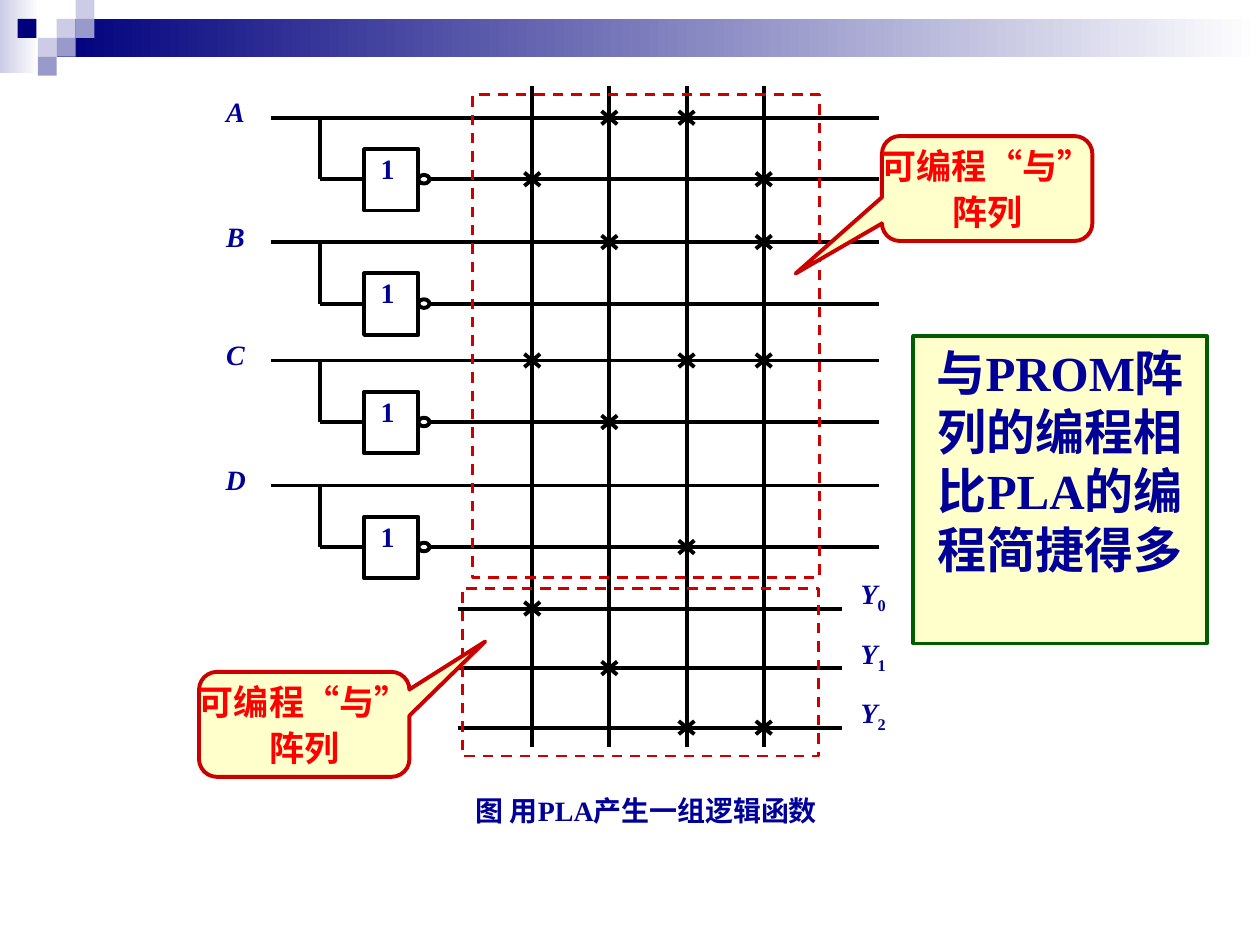
from collections import namedtuple
from lxml import etree
from pptx import Presentation
from pptx.dml.color import RGBColor
from pptx.enum.dml import MSO_LINE as Dash
from pptx.enum.lang import MSO_LANGUAGE_ID as Lang
from pptx.enum.shapes import MSO_CONNECTOR as Link, MSO_SHAPE as Kind
from pptx.enum.text import MSO_ANCHOR as Anchor, MSO_AUTO_SIZE as Fit, PP_ALIGN as Align
from pptx.oxml.ns import qn
from pptx.util import Inches, Pt

NAVY, BLUE, LILAC, PALE = "00007D", "000099", "9999CC", "CCCCE6"
RED, GREEN, CREAM = "CC0000", "005C00", "FFFFCC"


class Box(namedtuple("Box", "left top width height")):
    def across(self, share):
        return self.left + self.width * share / 100

    def down(self, share):
        return self.top + self.height * share / 100

    def inner(self, left, top, width, height):
        return Box(self.across(left), self.down(top),
                   self.width * width / 100, self.height * height / 100)

    def emu(self):
        return [Inches(side) for side in self]


def color(code):
    return RGBColor.from_string(code)


def style(run, size, code, slant=False):
    font = run.font
    font.name, font.size = "Times New Roman", Pt(size)
    font.bold, font.italic = True, slant
    font.color.rgb = color(code)
    font.language_id = Lang.SIMPLIFIED_CHINESE


def write(frame, text, size, code, slant=False, gap=0):
    frame.text = text
    for count, para in enumerate(frame.paragraphs):
        para.alignment = Align.CENTER
        para.space_before = Pt(gap if count else 0)
        for run in para.runs:
            style(run, size, code, slant)


def label(shapes, box, text, slant=False):
    frame = shapes.add_textbox(*box.emu()).text_frame
    frame.margin_left = frame.margin_right = frame.margin_top = frame.margin_bottom = 0
    frame.word_wrap = False
    frame.auto_size = Fit.SHAPE_TO_FIT_TEXT
    write(frame, text, 16, BLUE, slant)
    return frame.paragraphs[0]


def shape(shapes, kind, box, fill=None, edge=None, width=2.25):
    item = shapes.add_shape(kind, *box.emu())
    item.shadow.inherit = False
    if fill:
        item.fill.solid()
        item.fill.fore_color.rgb = color(fill)
    else:
        item.fill.background()
    if edge:
        item.line.color.rgb = color(edge)
        item.line.width = Pt(width)
    else:
        item.line.fill.background()
    return item


def wire(shapes, box, left, top, right, low):
    ends = box.across(left), box.down(top), box.across(right), box.down(low)
    item = shapes.add_connector(Link.STRAIGHT, *[Inches(end) for end in ends])
    item.line.color.rgb = color("000000")
    item.line.width = Pt(2.25)
    etree.SubElement(item._element.spPr, qn("a:effectLst"))


def fade(shapes, box, code):
    fill = shape(shapes, Kind.RECTANGLE, box, code).fill
    fill.gradient()
    fill.gradient_angle = 0
    for stop, tone, place in zip(fill.gradient_stops, (code, "FFFFFF"), (0, 1)):
        stop.color.rgb = color(tone)
        stop.position = place


def banner(shapes, box):
    fade(shapes, box.inner(0, 0, 3.1, 100), PALE)
    fade(shapes, box.inner(4.5, 25.9, 95.5, 51.7), NAVY)
    tiles = [(3, 1, PALE), (4, 0, PALE), (4, 1, LILAC), (2, 2, PALE),
             (0.93, 1, NAVY), (3, 2, LILAC), (2, 3, LILAC)]
    for col, row, code in tiles:
        tile = box.inner(col * 1.5, row * 25.9, 1.5, 25.9)
        shape(shapes, Kind.RECTANGLE, tile, code)


def gate(shapes, box, name):
    label(shapes, box.inner(23.7, 55, 2.2, 55), "1")
    label(shapes, box.inner(0, -37, 3, 55), name, True)
    wire(shapes, box, 6.9, 0, 100, 0)
    wire(shapes, box, 14.5, 0, 14.5, 100)
    wire(shapes, box, 14.5, 100, 21.2, 100)
    wire(shapes, box, 31.2, 100, 100, 100)
    shape(shapes, Kind.RECTANGLE, box.inner(21.2, 51, 8.3, 100), edge="000000")
    shape(shapes, Kind.OVAL, box.inner(29.5, 93, 1.7, 14), edge="000000")


def output(shapes, box, row, index):
    para = label(shapes, box.inner(97.1, row - 4.8, 3.9, 5.7), "Y", True)
    run = para.add_run()
    run.text = index
    style(run, 16, BLUE)
    run.font._element.set("baseline", "-25000")
    wire(shapes, box, 35.5, row, 94.2, row)


def array(shapes, box):
    step = 9.3
    rows = []
    for name, top in zip("ABCD", (4.8, 23.6, 41.5, 60.4)):
        gate(shapes, box.inner(0, top, 100, step), name)
        rows += [top, top + step]
    for count in range(3):
        rows.append(79 + 9 * count)
        output(shapes, box, rows[-1], str(count))
    cols = [46.9 + 11.8 * count for count in range(4)]
    for col in cols:
        wire(shapes, box, col, 0, col, 100)
    marks = (".xx. x..x .x.x .... x.xx .x.. "
             ".... ..x. x... .x.. ..xx").split()
    for row, line in zip(rows, marks):
        for col, mark in zip(cols, line):
            if mark == "x":
                for rise in (-1, 1):
                    wire(shapes, box, col - 1.2, row - rise, col + 1.2, row + rise)
    for area in (box.inner(36.2, 76, 54.5, 25.3), box.inner(37.8, 1.3, 53, 73)):
        frame = shape(shapes, Kind.RECTANGLE, area, edge=RED, width=1.5)
        frame.line.dash_style = Dash.DASH


def callout(shapes, box, tip):
    item = shape(shapes, Kind.ROUNDED_RECTANGULAR_CALLOUT, box, CREAM, RED)
    for index, value in enumerate((*tip, 0.17)):
        item.adjustments[index] = value
    frame = item.text_frame
    frame.word_wrap = False
    frame.vertical_anchor = Anchor.MIDDLE
    write(frame, "可编程“与”\n阵列", 20, "FF0000", gap=2.5)


def note(shapes, box):
    frame = shape(shapes, Kind.RECTANGLE, box, CREAM, GREEN).text_frame
    frame.word_wrap = True
    frame.vertical_anchor = Anchor.TOP
    frame.auto_size = Fit.SHAPE_TO_FIT_TEXT
    write(frame, "与PROM阵列的编程相比PLA的编程简捷得多", 28, BLUE)


def caption(shapes, box):
    frame = shapes.add_textbox(*box.emu()).text_frame
    frame.word_wrap = True
    write(frame, "图 用PLA产生一组逻辑函数", 16, BLUE)


def main():
    deck = Presentation()
    deck.slide_width, deck.slide_height = Inches(10), Inches(7.5)
    shapes = deck.slides.add_slide(deck.slide_layouts[6]).shapes
    page = Box(0, 0, 10, 7.5)
    banner(shapes, page.inner(0, 0, 100, 7.73))
    caption(shapes, page.inner(24.2, 83.3, 54.2, 4.9))
    array(shapes, page.inner(17.9, 9.1, 51.9, 70))
    callout(shapes, page.inner(15.8, 71.1, 16.7, 11.1), (0.86, -0.79))
    note(shapes, page.inner(72.5, 35.6, 23.3, 32.5))
    callout(shapes, page.inner(70, 14.4, 16.7, 11.1), (-0.91, 0.81))
    deck.save("out.pptx")


if __name__ == "__main__":
    main()
